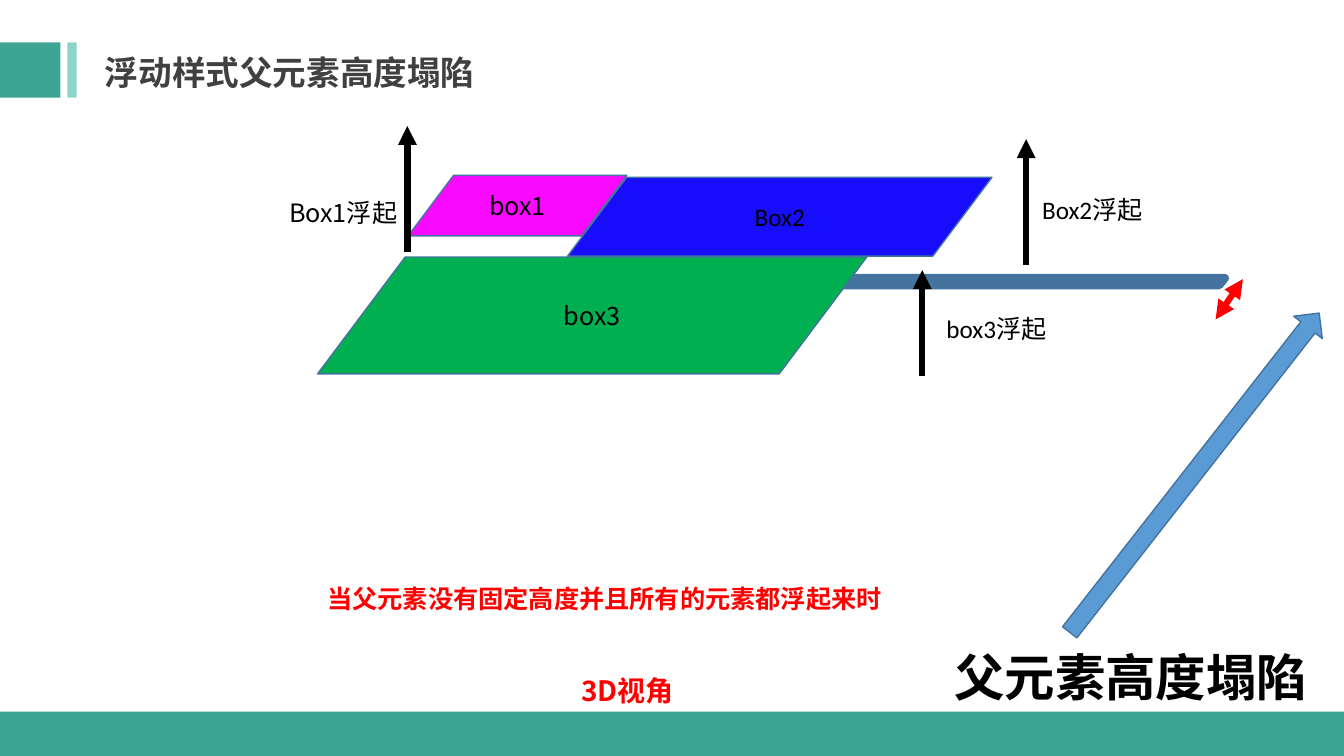
from lxml import etree
from pptx import Presentation
from pptx.dml.color import RGBColor
from pptx.enum.shapes import MSO_CONNECTOR, MSO_SHAPE
from pptx.enum.text import MSO_ANCHOR, MSO_AUTO_SIZE, PP_ALIGN
from pptx.oxml.ns import qn
from pptx.util import Pt

RECTANGLE = MSO_SHAPE.RECTANGLE
PARALLELOGRAM = MSO_SHAPE.PARALLELOGRAM
RIGHT_ARROW = MSO_SHAPE.RIGHT_ARROW
STRAIGHT = MSO_CONNECTOR.STRAIGHT
TOP, MIDDLE = MSO_ANCHOR.TOP, MSO_ANCHOR.MIDDLE
LEFT, CENTER = PP_ALIGN.LEFT, PP_ALIGN.CENTER
NO_AUTOFIT = MSO_AUTO_SIZE.NONE

WHITE = RGBColor(0xFF, 0xFF, 0xFF)
BLACK = RGBColor(0, 0, 0)
DARK_GRAY = RGBColor(0x40, 0x40, 0x40)
TEAL = RGBColor(0x3D, 0xA5, 0x91)
LIGHT_TEAL = RGBColor(0x8C, 0xD4, 0xC6)
RED = RGBColor(0xFF, 0, 0)
GREEN = RGBColor(0, 0xB0, 0x50)
MAGENTA = RGBColor(0xF9, 0x09, 0xFF)
BLUE = RGBColor(0x17, 0x0C, 0xFC)
SKY_BLUE = RGBColor(0x5B, 0x9B, 0xD5)
OUTLINE = RGBColor(0x43, 0x73, 0x9E)

NOTO = "Noto Sans CJK SC"
CALIBRI = "Calibri"


def write_text(shape, text, size, font_name=NOTO, color=BLACK, bold=False,
               align=LEFT, anchor=TOP):
    """Fill a shape with one formatted paragraph."""
    frame = shape.text_frame
    frame.word_wrap = True
    frame.auto_size = NO_AUTOFIT
    frame.vertical_anchor = anchor
    frame.text = text
    paragraph = frame.paragraphs[0]
    paragraph.alignment = align
    font = paragraph.font
    font.size = Pt(size)
    font.bold = bold
    font.color.rgb = color
    font.name = font_name
    properties = paragraph._p.pPr.find(qn("a:defRPr"))
    etree.SubElement(properties, qn("a:ea"), typeface=NOTO)


def add_text(slide, left, top, width, height, text, size, **style):
    """Add a text box holding one paragraph."""
    box = slide.shapes.add_textbox(Pt(left), Pt(top), Pt(width), Pt(height))
    write_text(box, text, size, **style)


def add_block(slide, kind, left, top, width, height, fill=None, line_width=0):
    """Add a preset shape, filled and outlined only as asked."""
    shape = slide.shapes.add_shape(kind, Pt(left), Pt(top), Pt(width), Pt(height))
    shape.shadow.inherit = False
    if fill is None:
        shape.fill.background()
    else:
        shape.fill.solid()
        shape.fill.fore_color.rgb = fill
    if line_width:
        shape.line.color.rgb = OUTLINE
        shape.line.width = Pt(line_width)
    else:
        shape.line.fill.background()
    return shape


def add_arrow(slide, start, end, color, ends=("tailEnd",)):
    """Add a thick straight arrow with triangular heads."""
    connector = slide.shapes.add_connector(
        STRAIGHT, Pt(start[0]), Pt(start[1]), Pt(end[0]), Pt(end[1]))
    connector.line.color.rgb = color
    connector.line.width = Pt(4.5)
    line = connector.line._get_or_add_ln()
    for end_name in ends:
        etree.SubElement(line, qn(f"a:{end_name}"), type="triangle")
    etree.SubElement(connector._element.spPr, qn("a:effectLst"))


def add_header(slide, left, top, height, text):
    """Place the two accent bars and the title beside them."""
    add_block(slide, RECTANGLE, left, top, 43.2, height, TEAL)
    add_block(slide, RECTANGLE, left + 48.2, top, 6.5, height, LIGHT_TEAL)
    title = slide.shapes.title
    title.left, title.top = Pt(left + 67.7), Pt(top + 3.6)
    title.width, title.height = Pt(412.6), Pt(36)
    title.fill.solid()
    title.fill.fore_color.rgb = WHITE
    write_text(title, text, 24, color=DARK_GRAY, bold=True, anchor=MIDDLE)


def add_float_diagram(slide, left, top):
    """Draw the collapsed parent and the three boxes floating above it."""
    parent = add_block(slide, PARALLELOGRAM, left + 90.9, top + 108.7, 583.9, 5,
                       line_width=6)
    parent.adjustments[0] = 0.79
    boxes = (
        ("box3", 26.8, 93.6, 392.4, 83.5, GREEN, NOTO),
        ("box1", 91.6, 35.3, 156.2, 43.2, MAGENTA, NOTO),
        ("Box2", 205.4, 36.7, 303.1, 56.2, BLUE, CALIBRI),
    )
    for text, x, y, width, height, fill, font_name in boxes:
        box = add_block(slide, PARALLELOGRAM, left + x, top + y, width, height, fill, 1)
        box.adjustments[0] = 0.75
        write_text(box, text, 18, font_name, align=CENTER, anchor=MIDDLE)

    lifts = (
        ("Box2浮起", 533, 99.4, 9.4, 537.3, 45.4, 88, CALIBRI),
        ("Box1浮起", 91, 90, 0, -0.6, 47.5, 93.6, NOTO),
        ("box3浮起", 458.8, 178.6, 103, 468.9, 130.3, 87.1, CALIBRI),
    )
    for text, x, bottom, tip, label_x, label_y, width, font_name in lifts:
        add_arrow(slide, (left + x, top + bottom), (left + x, top + tip), BLACK)
        add_text(slide, left + label_x, top + label_y, width, 28.8, text, 18,
                 font_name=font_name)
    add_arrow(slide, (left + 668.3, top + 138.2), (left + 687.8, top + 109.4), RED,
              ("headEnd", "tailEnd"))


def add_conclusion(slide, left, top):
    """Place the captions and the arrow pointing at the collapsed height."""
    add_text(slide, left, top, 463.7, 28.8,
             "当父元素没有固定高度并且所有的元素都浮起来时", 18, color=RED, bold=True)
    add_text(slide, left + 45.4, top + 64.1, 352, 31.7, "3D视角", 20,
             color=RED, bold=True, align=CENTER)
    pointer = add_block(slide, RIGHT_ARROW, left + 481.7, top - 88.6, 289.4, 25.9,
                        SKY_BLUE, 1)
    pointer.rotation = 308
    add_text(slide, left + 447.8, top + 44.6, 285.1, 51.1, "父元素高度塌陷", 36,
             font_name=CALIBRI, bold=True)


def main():
    """Build and save the slide."""
    presentation = Presentation()
    presentation.slide_width, presentation.slide_height = Pt(960), Pt(540)
    slide = presentation.slides.add_slide(presentation.slide_layouts[5])
    add_header(slide, 0, 30.2, 39.6, "浮动样式父元素高度塌陷")
    add_block(slide, RECTANGLE, 0, 508.3, 960, 31.7, TEAL)
    add_float_diagram(slide, 200, 90)
    add_conclusion(slide, 226.8, 413.3)
    presentation.save("out.pptx")


if __name__ == "__main__":
    main()
